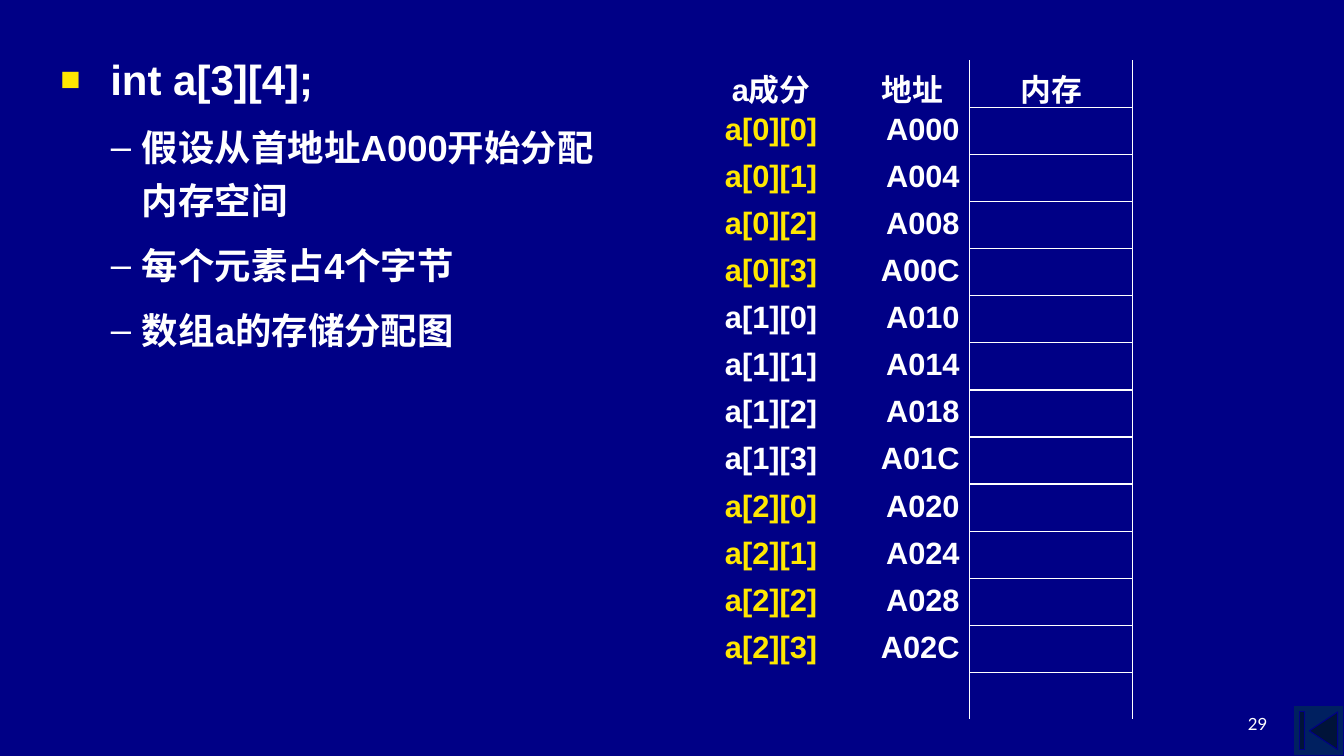
from lxml import etree
from pptx import Presentation, util as u
from pptx.dml.color import RGBColor
from pptx.enum import shapes, text
from pptx.oxml.ns import qn

HUES = {"back": "000086", "navy": "002060", "white": "FFFFFF", "gold": "FFE701"}
WIDE, HIGH = u.Inches(13.33), u.Inches(7.5)
PLAIN = "{2D5ABB26-0587-4C30-8999-92F81FD0307C}"
ALIGN = text.PP_ALIGN
ROWS, COLS, SIZE = 3, 4, 4
BASE = 0xA000
POINTS = ["假设从首地址A000开始分配内存空间", "每个元素占4个字节", "数组a的存储分配图"]


def hue(name):
    return RGBColor.from_string(HUES[name])


def area(x, y, w, h):
    """Turn percentages of the slide into left, top, width, height."""
    return [int(full * part / 100)
            for full, part in ((WIDE, x), (HIGH, y), (WIDE, w), (HIGH, h))]


def style(para, size, face="Arial", tint="white", bold=True):
    font = para.font
    font.size, font.name, font.bold = u.Pt(size), face, bold
    font.color.rgb = hue(tint)


def bullet(para, mark, tint, left, hang, share=100):
    props = para._p.get_or_add_pPr()
    props.set("marL", str(u.Inches(left)))
    props.set("indent", str(-u.Inches(hang)))
    color = etree.SubElement(props, qn("a:buClr"))
    etree.SubElement(color, qn("a:srgbClr"), val=HUES[tint])
    etree.SubElement(props, qn("a:buSzPct"), val=str(share * 1000))
    etree.SubElement(props, qn("a:buFont"), typeface="Arial")
    etree.SubElement(props, qn("a:buChar"), char=mark)


def outline(slide):
    box = slide.shapes.add_textbox(*area(3.75, 4.4, 41.25, 45.6))
    frame = box.text_frame
    frame.word_wrap = True
    frame.margin_top = u.Inches(0.1)
    for i, words in enumerate([" int a[3][4];"] + POINTS):
        para = frame.add_paragraph() if i else frame.paragraphs[0]
        para.text = words
        para.line_spacing = 1.2
        para.space_after = u.Pt(4.6)
        if i:
            para.level = 1
            para.space_before = u.Pt(4.6)
            bullet(para, "–", "white", 0.81, 0.31)
        else:
            bullet(para, "■", "gold", 0.38, 0.38, 80)
        style(para, 26 if i else 30)


def border(cell, sides):
    props = cell._tc.get_or_add_tcPr()
    for side in sides:
        line = etree.SubElement(props, qn("a:ln" + side), w=str(u.Pt(1)))
        fill = etree.SubElement(line, qn("a:solidFill"))
        etree.SubElement(fill, qn("a:srgbClr"), val=HUES["white"])


def write(cell, words, align, tint="white"):
    para = cell.text_frame.paragraphs[0]
    para.text, para.alignment = words, align
    style(para, 22, tint=tint)


def memory(slide):
    """Draw the head row, one row per array element and an open end row."""
    count = ROWS * COLS + 2
    frame = slide.shapes.add_table(count, 3, *area(51.15, 8, 33.15, 87.07))
    grid = frame.table
    grid.first_row = grid.horz_banding = False
    grid._tbl.tblPr.find(qn("a:tableStyleId")).text = PLAIN
    for col, share in zip(grid.columns, (12.45, 8.55, 12.15)):
        col.width = int(WIDE * share / 100)
    for col, words in enumerate(["a成分", "地址", "内存"]):
        write(grid.cell(0, col), words, ALIGN.CENTER)
    for i in range(ROWS * COLS):
        row, col = divmod(i, COLS)
        tint = "white" if row % 2 else "gold"
        write(grid.cell(i + 1, 0), f"a[{row}][{col}]", ALIGN.CENTER, tint)
        write(grid.cell(i + 1, 1), f"{BASE + i * SIZE:X}", ALIGN.RIGHT)
    for i in range(count):
        border(grid.cell(i, 1), "R")
        sides = "LRB" if i == 0 else "LRT" if i == count - 1 else "LRTB"
        border(grid.cell(i, 2), sides)
    for cell in grid.iter_cells():
        cell.fill.background()


def button(slide):
    kind = shapes.MSO_SHAPE.ACTION_BUTTON_BEGINNING
    shape = slide.shapes.add_shape(kind, *area(96.25, 93.33, 3.75, 6.67))
    shape.shadow.inherit = False
    shape.fill.solid()
    shape.fill.fore_color.rgb = hue("navy")
    shape.line.color.rgb = hue("back")
    shape.line.width = u.Pt(0.75)


def number(slide):
    box = slide.shapes.add_textbox(*area(71.7, 91.07, 23.33, 6.67))
    frame = box.text_frame
    frame.word_wrap = True
    frame.vertical_anchor = text.MSO_ANCHOR.BOTTOM
    para = frame.paragraphs[0]
    para.text, para.alignment = "29", ALIGN.RIGHT
    style(para, 12, "Lato", bold=False)


def main():
    deck = Presentation()
    deck.slide_width, deck.slide_height = WIDE, HIGH
    slide = deck.slides.add_slide(deck.slide_layouts[6])
    slide.background.fill.solid()
    slide.background.fill.fore_color.rgb = hue("back")
    button(slide)
    number(slide)
    memory(slide)
    outline(slide)
    deck.save("out.pptx")


if __name__ == "__main__":
    main()
